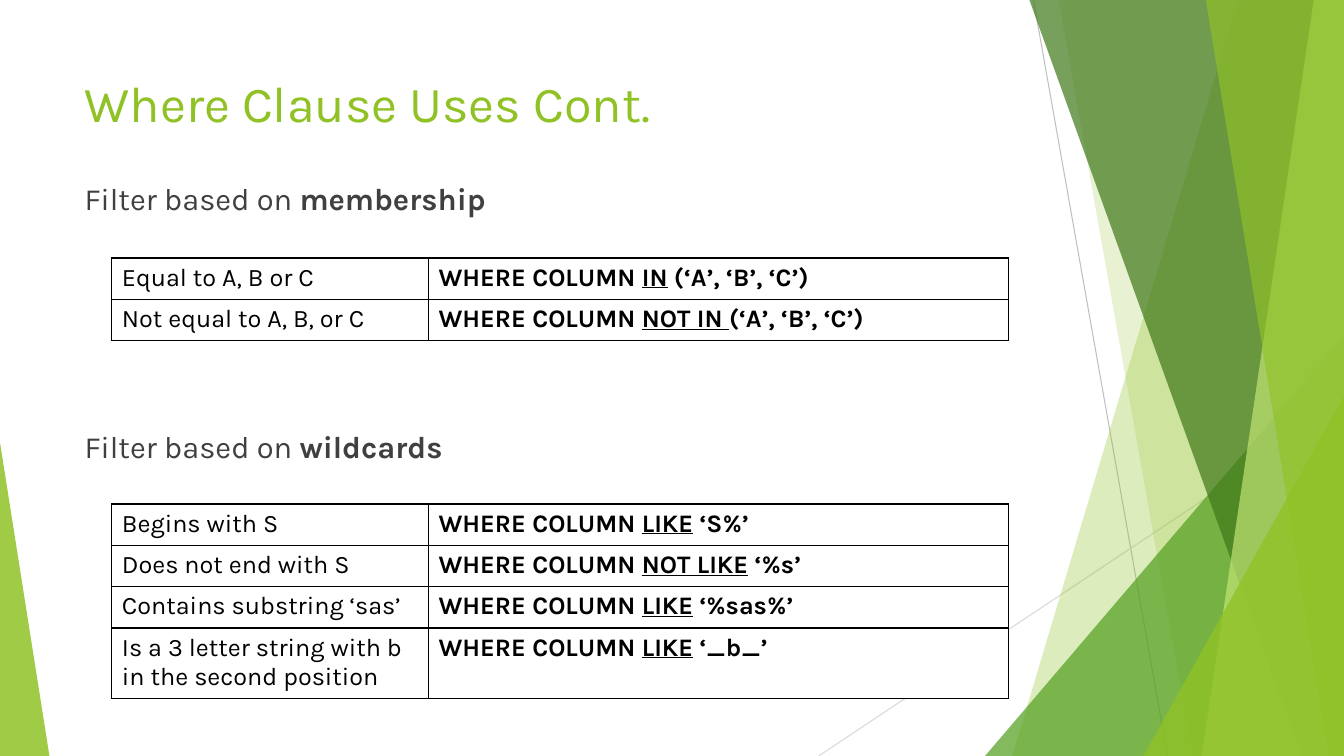
from lxml import etree
from pptx import Presentation
from pptx import util as u
from pptx.dml.color import RGBColor
from pptx.enum import shapes, text
from pptx.oxml import ns

FONT = "Karla"
HEX = {"lime": "90C226", "green": "54A021", "forest": "3F7819",
       "pale": "C0E474", "body": "404040", "black": "000000",
       "white": "FFFFFF", "gray": "BFBFBF", "silver": "D9D9D9"}
WIDE, HIGH = 13.33, 7.5
MEMBER = [("Equal to A, B or C", "IN", " (‘A’, ‘B’, ‘C’)"),
          ("Not equal to A, B, or C", "NOT IN ", "(‘A’, ‘B’, ‘C’)")]
WILD = [("Begins with S", "LIKE", " ‘S%’"),
        ("Does not end with S", "NOT LIKE", " ‘%s’"),
        ("Contains substring ‘sas’", "LIKE", " ‘%sas%’"),
        ("Is a 3 letter string with b in the second position",
         "LIKE", " ‘_b_’")]


def color(name):
    """Return the named colour."""
    return RGBColor.from_string(HEX[name])


def style(run, size, tint, bold=False, line=False):
    """Format one run of text."""
    font = run.font
    font.name, font.size = FONT, u.Pt(size)
    font.bold, font.underline = bold, line
    font.color.rgb = color(tint)


def write(para, parts, size, tint):
    """Fill a paragraph with (words, bold, underline) parts."""
    for words, bold, line in parts:
        run = para.add_run()
        run.text = words
        style(run, size, tint, bold, line)


def paint(shape, tint, alpha):
    """Give a shape a clear fill, with no outline or shadow."""
    shape.shadow.inherit = False
    shape.line.fill.background()
    shape.fill.solid()
    shape.fill.fore_color.rgb = color(tint)
    node = shape.fill._xPr.find(".//" + ns.qn("a:srgbClr"))
    etree.SubElement(node, ns.qn("a:alpha"), val=str(alpha * 1000))


def ray(slide, start, end, tint):
    """Draw a thin line between two points."""
    ends = [u.Inches(n) for n in start + end]
    line = slide.shapes.add_connector(shapes.MSO_CONNECTOR.STRAIGHT, *ends)
    line.line.color.rgb = color(tint)
    line.line.width = u.Pt(0.75)
    etree.SubElement(line._element.spPr, ns.qn("a:effectLst"))


def shard(slide, box, top, foot, tint, alpha):
    """Draw a full-height shard from its slanted edge to the box's right."""
    left, y, wide, high = box
    edge = left + wide
    spots = [(left + top, y), (edge, y), (edge, y + high),
             (left + foot, y + high)]
    spots = [(u.Inches(a), u.Inches(b)) for a, b in spots]
    form = slide.shapes.build_freeform(*spots[0])
    form.add_line_segments(spots[1:], close=True)
    paint(form.convert_to_shape(), tint, alpha)


def wedge(slide, box, apex, tint, alpha):
    """Draw a right triangle with its apex at the left (0) or right (1)."""
    shape = slide.shapes.add_shape(shapes.MSO_SHAPE.ISOSCELES_TRIANGLE,
                                   *map(u.Inches, box))
    shape.adjustments[0] = apex
    paint(shape, tint, alpha)


def decor(slide, box):
    """Draw the green facets on both sides of the box."""
    left, top, wide, high = box
    right, base = left + wide, top + high

    def corner(w, h):
        return right - w, base - h, w, h

    def band(w):
        return right - w, top, w, high

    ray(slide, (right - 3.08, top), (right - 1.75, base), "gray")
    ray(slide, (right, top + 4.03), (right - 5.21, base), "silver")
    shard(slide, band(3.29), 2.24, 0, "lime", 30)
    shard(slide, band(2.83), 0, 1.33, "lime", 20)
    wedge(slide, corner(3.56, 4.17), 1, "green", 72)
    shard(slide, band(3.12), 0, 2.7, "forest", 70)
    shard(slide, band(1.41), 1.11, 0, "pale", 70)
    shard(slide, band(1.37), 0, 1.22, "lime", 65)
    wedge(slide, corner(1.99, 3.57), 1, "lime", 80)
    wedge(slide, (left, base - 3.11, 0.49, 3.11), 0, "lime", 85)


def title(slide, box, words):
    """Place and format the title."""
    shape = slide.shapes.title
    shape.left, shape.top, shape.width, shape.height = map(u.Inches, box)
    frame = shape.text_frame
    frame.text = words
    frame.auto_size = text.MSO_AUTO_SIZE.NONE
    frame.vertical_anchor = text.MSO_ANCHOR.TOP
    para = frame.paragraphs[0]
    para.alignment = text.PP_ALIGN.LEFT
    style(para.runs[0], 36, "lime")


def heads(slide, box, topics, gap):
    """Write the filter headings, with a gap in points between them."""
    frame = slide.shapes.add_textbox(*map(u.Inches, box)).text_frame
    frame.word_wrap = True
    for i, topic in enumerate(topics):
        para = frame.add_paragraph() if i else frame.paragraphs[0]
        para.space_before = u.Pt(gap if i else 0)
        write(para, [("Filter based on ", False, False),
                     (topic, True, False)], 22, "body")


def border(cell):
    """Rule all four sides of a cell in black."""
    props = cell._tc.get_or_add_tcPr()
    for side in ("lnL", "lnR", "lnT", "lnB"):
        line = etree.SubElement(props, ns.qn("a:" + side), w=str(u.Pt(1)))
        fill = etree.SubElement(line, ns.qn("a:solidFill"))
        etree.SubElement(fill, ns.qn("a:srgbClr"), val=HEX["black"])


def grid(slide, box, rows, highs):
    """Build a table of conditions and their WHERE clauses."""
    table = slide.shapes.add_table(len(rows), 2, *map(u.Inches, box)).table
    table.first_row = table.horz_banding = False
    for col, wide in zip(table.columns, (3.14, box[2] - 3.14)):
        col.width = u.Inches(wide)
    for row, high, (label, key, tail) in zip(table.rows, highs, rows):
        row.height = u.Inches(high)
        clause = [("WHERE COLUMN ", True, False), (key, True, True),
                  (tail, True, False)]
        for cell, parts in zip(row.cells, ([(label, False, False)], clause)):
            border(cell)
            cell.fill.solid()
            cell.fill.fore_color.rgb = color("white")
            write(cell.text_frame.paragraphs[0], parts, 18, "black")


def build():
    """Build and save the slide."""
    deck = Presentation()
    deck.slide_width, deck.slide_height = u.Inches(WIDE), u.Inches(HIGH)
    slide = deck.slides.add_slide(deck.slide_layouts[5])
    decor(slide, (0, 0, WIDE, HIGH))
    title(slide, (0.74, 0.67, 9.4, 1.44), "Where Clause Uses Cont.")
    heads(slide, (0.74, 1.73, 10.01, 5.1), ("membership", "wildcards"), 151)
    grid(slide, (1.11, 2.56, 8.89, 0.81), MEMBER, [0.41] * 2)
    grid(slide, (1.11, 5, 8.89, 1.92), WILD, [0.41] * 3 + [0.69])
    deck.save("out.pptx")


build()
